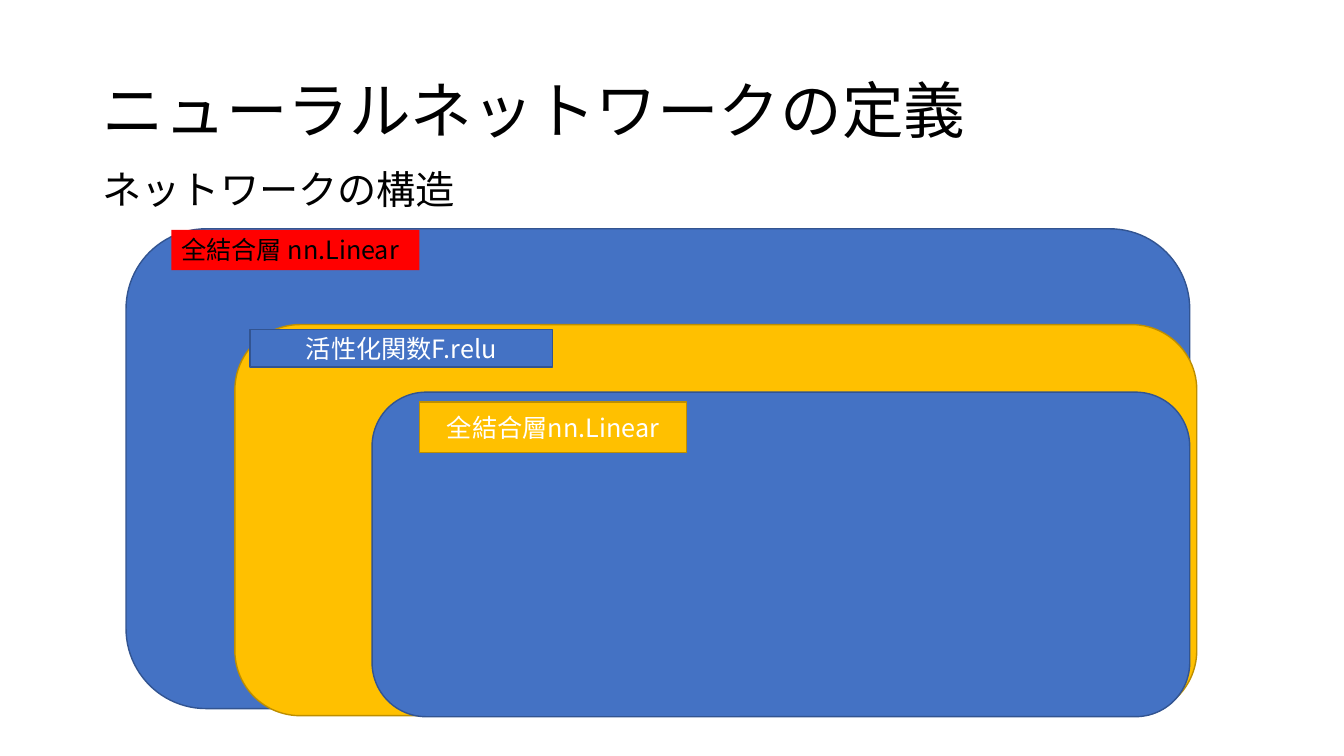
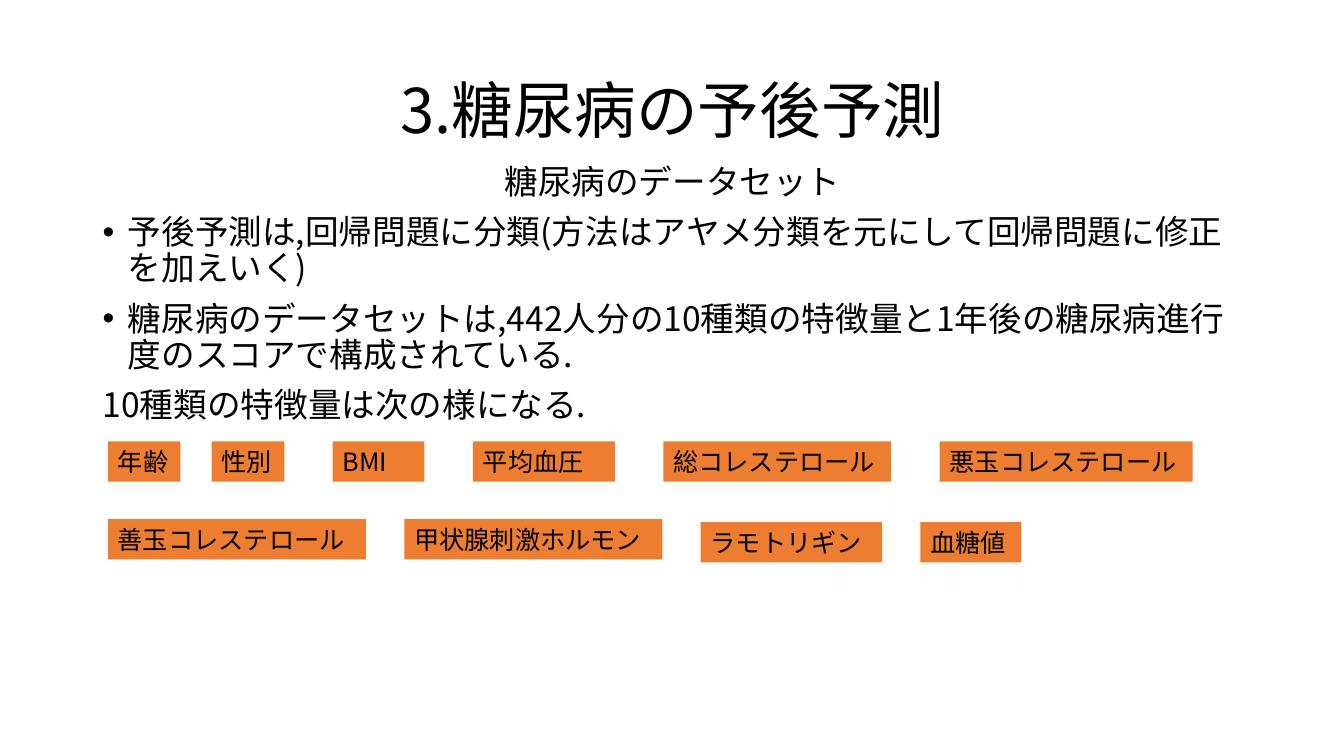
from pptx import Presentation
from pptx.dml.color import RGBColor
from pptx.enum.shapes import MSO_SHAPE as Shape
from pptx.enum.text import MSO_ANCHOR as Anchor, MSO_AUTO_SIZE as Fit, PP_ALIGN as Align
from pptx.oxml.ns import qn
from pptx.util import Inches, Pt
from lxml.etree import SubElement

BLACK = RGBColor(0x00, 0x00, 0x00)
WHITE = RGBColor(0xFF, 0xFF, 0xFF)
RED = RGBColor(0xFF, 0x00, 0x00)
ORANGE = RGBColor(0xED, 0x7D, 0x31)
BLUE = RGBColor(0x44, 0x72, 0xC4)
NAVY = RGBColor(0x32, 0x54, 0x91)
GOLD = RGBColor(0xFF, 0xC0, 0x00)
BROWN = RGBColor(0xBD, 0x8E, 0x00)
FACE = "Noto Sans CJK JP"

TITLE = (0.92, 0.4, 11.5, 1.45)
PROSE = {"line_spacing": 0.9, "space_before": Pt(10)}
PLAIN = {"alignment": Align.LEFT}
MID = {"alignment": Align.CENTER}

LAYERS = [
    ((1.25, 2.27, 10.55, 4.76), (BLUE, NAVY),
     (0.45, 0.01, 2.46, 0.4), "全結合層 nn.Linear", (RED, None), BLACK),
    ((2.33, 3.22, 9.54, 3.88), (GOLD, BROWN),
     (0.15, 0.05, 3, 0.37), "活性化関数F.relu", (BLUE, NAVY), WHITE),
    ((3.69, 3.89, 8.11, 3.22), (BLUE, NAVY),
     (0.47, 0.1, 2.65, 0.5), "全結合層nn.Linear", (GOLD, BROWN), WHITE),
]

POINTS = [
    ("糖尿病のデータセット", MID, False),
    ("予後予測は,回帰問題に分類(方法はアヤメ分類を元にして回帰問題に修正を加えいく)", PLAIN, True),
    ("糖尿病のデータセットは,442人分の10種類の特徴量と1年後の糖尿病進行度のスコアで構成されている.",
     PLAIN, True),
    ("10種類の特徴量は次の様になる.", PLAIN, False),
]

ROWS = [
    (4.38, [("年齢", 0.72, 0.31, 0), ("性別", 0.72, 0.48, 0), ("BMI", 0.91, 0.48, 0),
            ("平均血圧", 1.41, 0.48, 0), ("総コレステロール", 2.26, 0.48, 0),
            ("悪玉コレステロール", 2.51, 0, 0)]),
    (5.15, [("善玉コレステロール", 2.56, 0.38, 0), ("甲状腺刺激ホルモン", 2.56, 0.38, 0),
            ("ラモトリギン", 1.8, 0.38, 0.03), ("血糖値", 1, 0, 0.03)]),
]


def style(obj, vals):
    """Set each named attribute."""
    for name, val in vals.items():
        setattr(obj, name, val)


def write(para, text, size, color=BLACK, form=PLAIN):
    """Fill a paragraph with one run of text."""
    style(para, form)
    run = para.add_run()
    run.text = text
    style(run.font, {"name": FACE, "size": Pt(size)})
    run.font.color.rgb = color
    SubElement(run.font._element, qn("a:ea")).set("typeface", FACE)


def bullet(para):
    """Give a paragraph a hanging bullet."""
    props = para._p.get_or_add_pPr()
    props.set("marL", str(Inches(0.25)))
    props.set("indent", str(-Inches(0.25)))
    SubElement(props, qn("a:buFont")).set("typeface", "Arial")
    SubElement(props, qn("a:buChar")).set("char", "•")


def panel(slide, kind, box, paint):
    """Draw a filled shape, with an outline if one is named."""
    fill, edge = paint
    shape = slide.shapes.add_shape(kind, *map(Inches, box))
    shape.shadow.inherit = False
    shape.fill.solid()
    shape.fill.fore_color.rgb = fill
    if edge:
        shape.line.color.rgb = edge
        shape.line.width = Pt(1)
    else:
        shape.line.fill.background()
    return shape


def label(slide, box, text, paint, color=BLACK):
    """Draw a rectangle with text, centred when it is outlined."""
    frame = panel(slide, Shape.RECTANGLE, box, paint).text_frame
    framed = paint[1] is not None
    style(frame, {"word_wrap": True,
                  "vertical_anchor": Anchor.MIDDLE if framed else Anchor.TOP})
    write(frame.paragraphs[0], text, 18, color, MID if framed else PLAIN)


def start(deck, text, form):
    """Add a slide with its title."""
    slide = deck.slides.add_slide(deck.slide_layouts[5])
    title = slide.shapes.title
    style(title, dict(zip(("left", "top", "width", "height"), map(Inches, TITLE))))
    style(title.text_frame, {"word_wrap": True, "auto_size": Fit.NONE,
                             "vertical_anchor": Anchor.MIDDLE})
    write(title.text_frame.paragraphs[0], text, 44, form={**form, "line_spacing": 0.9})
    return slide


def body(slide, box, points, size):
    """Write the running text in a box."""
    frame = slide.shapes.add_textbox(*map(Inches, box)).text_frame
    frame.word_wrap = True
    for num, (text, form, dot) in enumerate(points):
        para = frame.add_paragraph() if num else frame.paragraphs[0]
        write(para, text, size, form={**PROSE, **form})
        if dot:
            bullet(para)


def layer(slide, box, paint, tag, text, tint, color):
    """Draw a network layer and its label, placed from its corner."""
    panel(slide, Shape.ROUNDED_RECTANGLE, box, paint)
    spot = (box[0] + tag[0], box[1] + tag[1], *tag[2:])
    label(slide, spot, text, tint, color)


def chips(slide, left, top, items):
    """Lay a row of feature labels from left to right."""
    for text, width, gap, drop in items:
        label(slide, (left, top + drop, width, 0.4), text, (ORANGE, None))
        left += width + gap


def network(deck):
    """Build the slide of nested layers."""
    slide = start(deck, "ニューラルネットワークの定義", PLAIN)
    body(slide, (0.92, 1.64, 11.5, 5.12), [("ネットワークの構造", PLAIN, False)], 28)
    for item in LAYERS:
        layer(slide, *item)


def dataset(deck):
    """Build the slide of data features."""
    slide = start(deck, "3.糖尿病の予後予測", MID)
    body(slide, (0.92, 1.59, 11.5, 5.28), POINTS, 24)
    for top, items in ROWS:
        chips(slide, 1.07, top, items)


def main():
    """Build and save the deck."""
    deck = Presentation()
    style(deck, {"slide_width": Inches(13.33), "slide_height": Inches(7.5)})
    network(deck)
    dataset(deck)
    deck.save("out.pptx")


if __name__ == "__main__":
    main()
